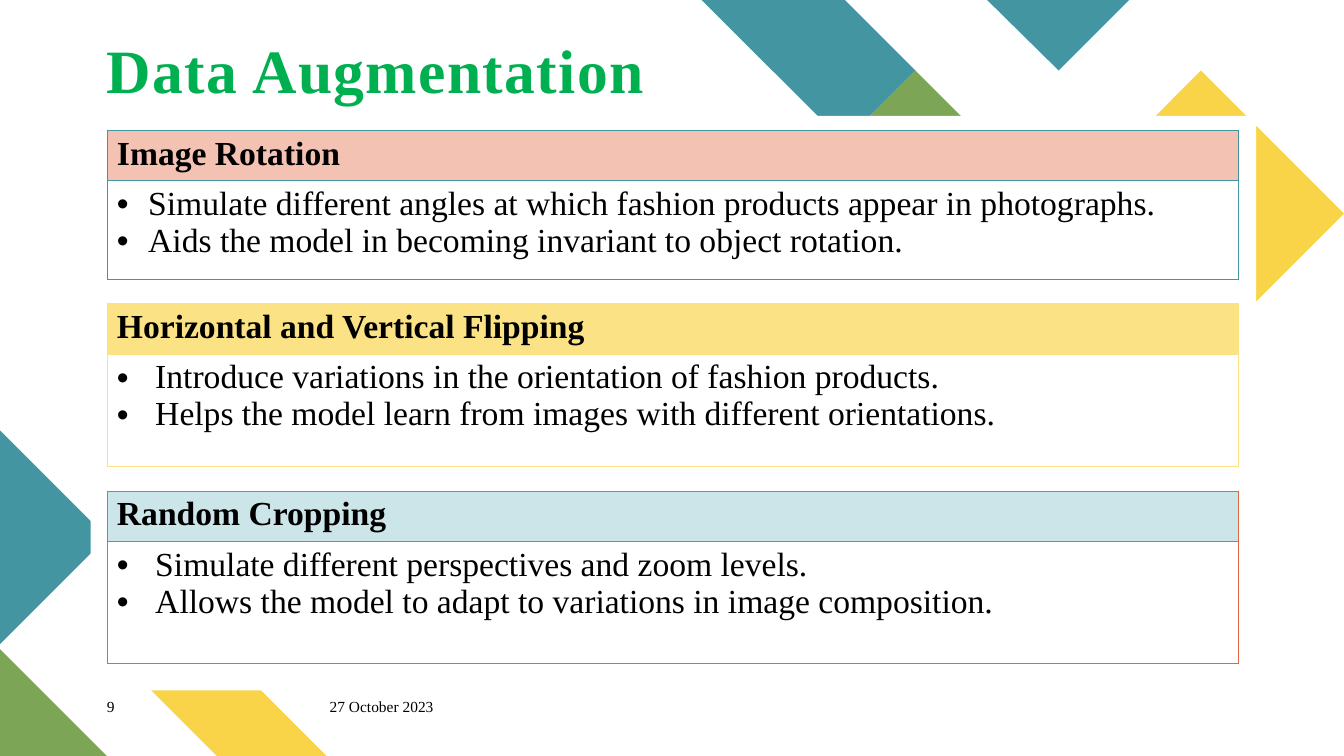
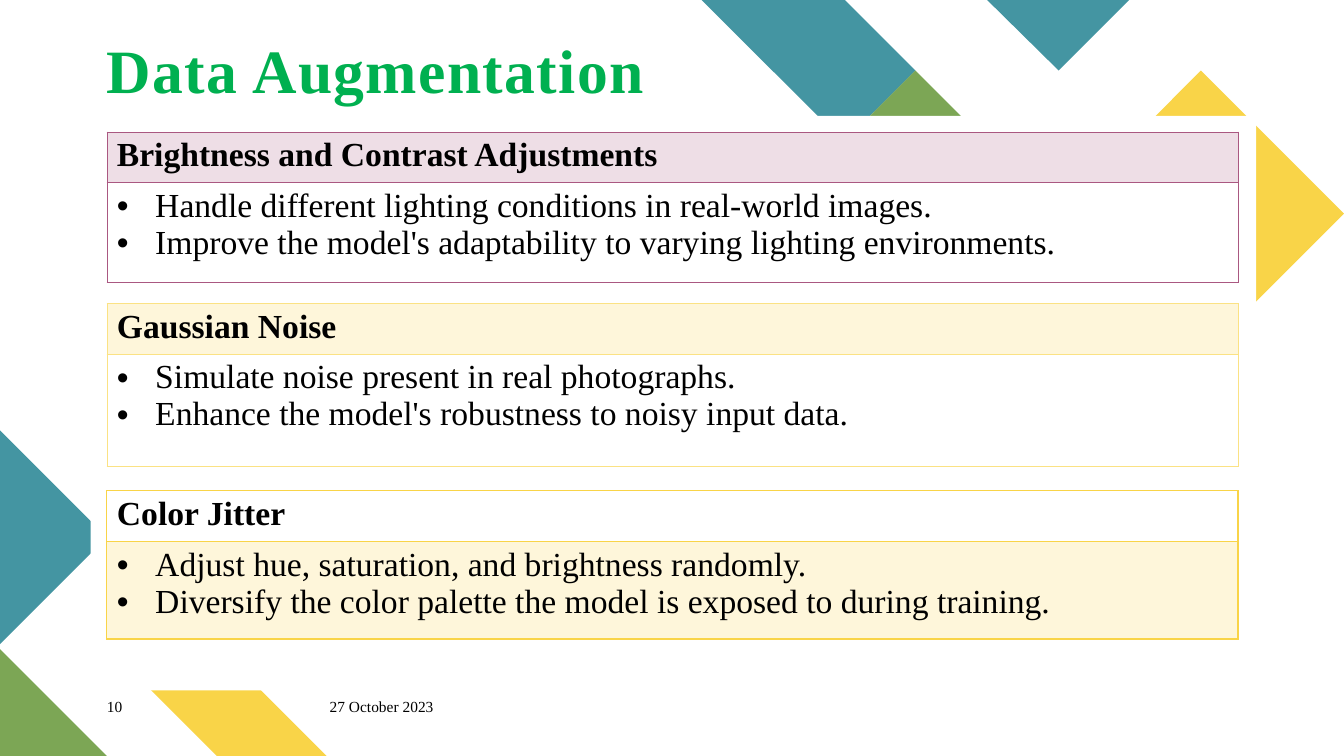
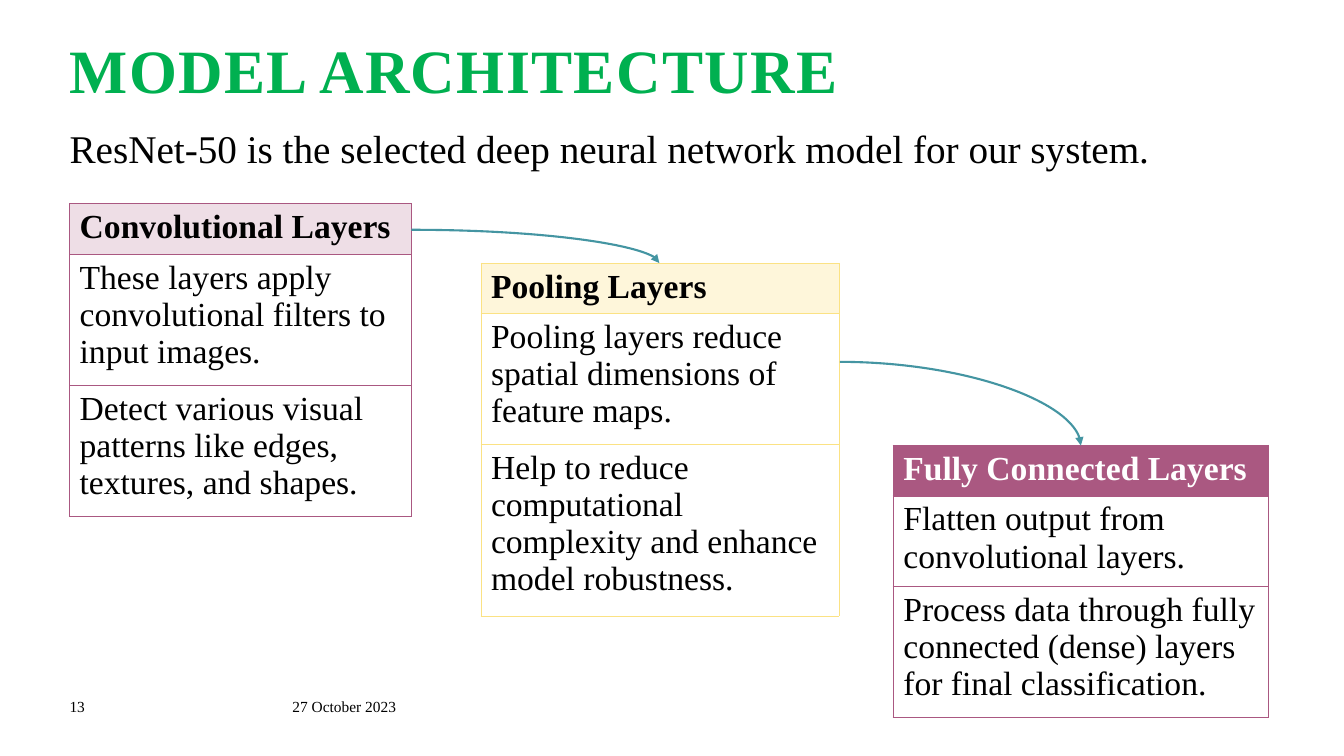
import pptx
import pptx.dml.color
import pptx.enum.shapes
import pptx.enum.text
import pptx.oxml
import pptx.oxml.ns
import pptx.util
from lxml import etree

Inches = pptx.util.Inches
Pt = pptx.util.Pt
qn = pptx.oxml.ns.qn
Anchor = pptx.enum.text.MSO_ANCHOR

FONT = "Times New Roman"
BLACK, WHITE, TITLE_GREEN = "000000", "FFFFFF", "00B050"
TEAL, GREEN, YELLOW, PLUM, ORANGE = "4495A2", "7CA655", "F9D448", "AA5881", "E06742"
LIGHT_YELLOW, CREAM, PINK = "FBE284", "FEF6DA", "EEDEE6"
SALMON, LIGHT_TEAL = "F3C2B3", "CBE5E9"

DATE = "27 October 2023"
HEADER_HEIGHT = 0.47
CARD_LEFT, CARD_WIDTH = 1.06, 11.22

DECORATIONS = [
    (YELLOW, [(3.24, 7.5), (2.15, 7.5), (1.06, 6.41), (1.61, 5.87)]),
    (GREEN, [(1.06, 7.5), (0, 7.5), (0, 6.44)]),
    (TEAL, [(0, 4.27), (1.06, 5.33), (0, 6.39)]),
    (TEAL, [(9.08, 0.7), (8.38, 0), (6.96, 0), (8.37, 1.41)]),
    (TEAL, [(11.2, 0), (9.79, 0), (10.5, 0.7)]),
    (GREEN, [(9.08, 0.7), (8.37, 1.41), (9.79, 2.83), (10.5, 2.12)]),
    (YELLOW, [(13.33, 2.12), (11.91, 0.7), (10.5, 2.12), (11.91, 3.54)]),
]


def color(value):
    return pptx.dml.color.RGBColor.from_string(value)


def paint(shape, fill):
    """Give a shape a plain fill with neither line nor shadow."""
    shape.shadow.inherit = False
    shape.fill.solid()
    shape.fill.fore_color.rgb = color(fill)
    shape.line.fill.background()


def add_run(paragraph, text, size, font_color=BLACK, bold=False):
    run = paragraph.add_run()
    run.text = text
    for name, value in {"name": FONT, "size": Pt(size), "bold": bold}.items():
        setattr(run.font, name, value)
    run.font.color.rgb = color(font_color)
    return run


def add_text(slide, text, box, size, font_color=BLACK, bold=False, anchor=Anchor.TOP, **spacing):
    """Add a one-paragraph text box; spacing holds paragraph formats."""
    frame = slide.shapes.add_textbox(*map(Inches, box)).text_frame
    formats = {"word_wrap": True, "vertical_anchor": anchor, "margin_left": 0,
               "margin_top": 0, "margin_right": 0, "margin_bottom": 0}
    for name, value in formats.items():
        setattr(frame, name, value)
    paragraph = frame.paragraphs[0]
    for name, value in spacing.items():
        setattr(paragraph, name, value)
    return add_run(paragraph, text, size, font_color, bold)


def add_decorations(slide):
    for fill, points in DECORATIONS:
        start, *others = [(Inches(x), Inches(y)) for x, y in points]
        builder = slide.shapes.build_freeform(*start)
        builder.add_line_segments(others, close=True)
        paint(builder.convert_to_shape(), fill)
    panel = slide.shapes.add_shape(pptx.enum.shapes.MSO_SHAPE.RECTANGLE,
                                   *map(Inches, (0.9, 1.15, 11.56, 5.7)))
    paint(panel, WHITE)


def add_slide(presentation, title, number, left, date_left, decorated):
    """Start a slide with its title and footer."""
    slide = presentation.slides.add_slide(presentation.slide_layouts[6])
    if decorated:
        add_decorations(slide)
    run = add_text(slide, title, (left, 0.3, 11.24, 0.76), 44, TITLE_GREEN, True,
                   Anchor.BOTTOM, line_spacing=0.9)
    run.font._element.set("spc", "100")
    add_text(slide, number, (left, 6.92, 0.57, 0.27), 11)
    add_text(slide, DATE, (date_left, 6.92, 1.44, 0.27), 11)
    return slide


def set_borders(cell, border, width):
    properties = cell._tc.get_or_add_tcPr()
    for side in ("a:lnL", "a:lnR", "a:lnT", "a:lnB"):
        line = etree.SubElement(properties, qn(side), w=str(Pt(width)))
        fill = etree.SubElement(line, qn("a:solidFill"))
        etree.SubElement(fill, qn("a:srgbClr"), val=border)


def set_bullet(paragraph, indent):
    properties = paragraph._p.get_or_add_pPr()
    properties.set("marL", str(Inches(indent)))
    properties.set("indent", str(-Inches(indent)))
    etree.SubElement(properties, qn("a:buFont"), typeface="Arial")
    etree.SubElement(properties, qn("a:buChar"), char="•")


def add_card(slide, box, rows, border, header_fill, header_color=BLACK,
             body_fill=WHITE, border_width=0.5, indent=0):
    """Add a one-column table; rows are (height, lines), the first the header."""
    left, top, width = box
    height = sum(row_height for row_height, lines in rows)
    table = slide.shapes.add_table(len(rows), 1, *map(Inches, (left, top, width, height))).table
    table.first_row = table.horz_banding = False
    for index, (row_height, lines) in enumerate(rows):
        header = index == 0
        table.rows[index].height = Inches(row_height)
        cell = table.cell(index, 0)
        set_borders(cell, border, border_width)
        cell.fill.solid()
        cell.fill.fore_color.rgb = color(header_fill if header else body_fill)
        frame = cell.text_frame
        for position, line in enumerate(lines):
            paragraph = frame.add_paragraph() if position else frame.paragraphs[0]
            if indent and not header:
                set_bullet(paragraph, indent)
            add_run(paragraph, line, 24, header_color if header else BLACK, header)


def add_bullet_card(slide, top, body_height, heading, bullets, border, header_fill,
                    indent=0.38, **style):
    rows = [(HEADER_HEIGHT, [heading]), (body_height, bullets)]
    add_card(slide, (CARD_LEFT, top, CARD_WIDTH), rows, border, header_fill,
             indent=indent, **style)


def add_curved_arrow(slide, start, end):
    """Leave the start sideways and reach the end from above."""
    connector = slide.shapes.add_connector(pptx.enum.shapes.MSO_CONNECTOR.CURVE,
                                           *map(Inches, start + end))
    connector.line.color.rgb = color(TEAL)
    connector.line.width = Pt(1.5)
    properties = connector._element.spPr
    properties.find(qn("a:prstGeom")).set("prst", "curvedConnector2")
    etree.SubElement(properties.find(qn("a:ln")), qn("a:tailEnd"), type="triangle")
    etree.SubElement(properties, qn("a:effectLst"))


def add_augmentation_slide(presentation, number):
    return add_slide(presentation, "Data Augmentation", number, 1.06, 3.27, True)


def add_geometric_slide(presentation):
    slide = add_augmentation_slide(presentation, "9")
    add_bullet_card(slide, 1.29, 0.98, "Image Rotation", [
        "Simulate different angles at which fashion products appear in photographs.",
        "Aids the model in becoming invariant to object rotation.",
    ], TEAL, SALMON, indent=0.31)
    add_bullet_card(slide, 3.01, 1.12, "Horizontal and Vertical Flipping", [
        "Introduce variations in the orientation of fashion products.",
        "Helps the model learn from images with different orientations.",
    ], LIGHT_YELLOW, LIGHT_YELLOW)
    add_bullet_card(slide, 4.87, 1.21, "Random Cropping", [
        "Simulate different perspectives and zoom levels.",
        "Allows the model to adapt to variations in image composition.",
    ], ORANGE, LIGHT_TEAL)


def add_photometric_slide(presentation):
    slide = add_augmentation_slide(presentation, "10")
    add_bullet_card(slide, 1.31, 0.99, "Brightness and Contrast Adjustments", [
        "Handle different lighting conditions in real-world images.",
        "Improve the model's adaptability to varying lighting environments.",
    ], PLUM, PINK)
    add_bullet_card(slide, 3.01, 1.12, "Gaussian Noise", [
        "Simulate noise present in real photographs.",
        "Enhance the model's robustness to noisy input data.",
    ], LIGHT_YELLOW, CREAM)
    add_bullet_card(slide, 4.87, 0.97, "Color Jitter", [
        "Adjust hue, saturation, and brightness randomly.",
        "Diversify the color palette the model is exposed to during training.",
    ], YELLOW, WHITE, body_fill=CREAM, border_width=1)


def add_architecture_slide(presentation):
    slide = add_slide(presentation, "MODEL ARCHITECTURE", "13", 0.69, 2.9, False)
    add_text(slide, "ResNet-50 is the selected deep neural network model for our system.",
             (0.69, 1.02, 11.71, 0.66), 28, anchor=Anchor.MIDDLE,
             line_spacing=1.5, space_before=Pt(4), space_after=Pt(8))
    add_card(slide, (0.69, 2.02, 3.39), [
        (HEADER_HEIGHT, ["Convolutional Layers"]),
        (1.21, ["These layers apply convolutional filters to input images."]),
        (1.2, ["Detect various visual patterns like edges, textures, and shapes."]),
    ], PLUM, PINK)
    add_card(slide, (4.77, 2.61, 3.55), [
        (HEADER_HEIGHT, ["Pooling Layers"]),
        (1.2, ["Pooling layers reduce spatial dimensions of feature maps."]),
        (1.57, ["Help to reduce computational complexity and enhance model robustness."]),
    ], LIGHT_YELLOW, CREAM)
    add_card(slide, (8.86, 4.42, 3.72), [
        (HEADER_HEIGHT, ["Fully Connected Layers"]),
        (0.84, ["Flatten output from convolutional layers."]),
        (1.2, ["Process data through fully connected (dense) layers for final classification."]),
    ], PLUM, PLUM, header_color=WHITE, border_width=1)
    add_curved_arrow(slide, (4.08, 2.28), (6.54, 2.61))
    add_curved_arrow(slide, (8.33, 3.59), (10.72, 4.42))


def main():
    presentation = pptx.Presentation()
    presentation.slide_width = Inches(13.33)
    presentation.slide_height = Inches(7.5)
    add_geometric_slide(presentation)
    add_photometric_slide(presentation)
    add_architecture_slide(presentation)
    presentation.save("out.pptx")


if __name__ == "__main__":
    main()
